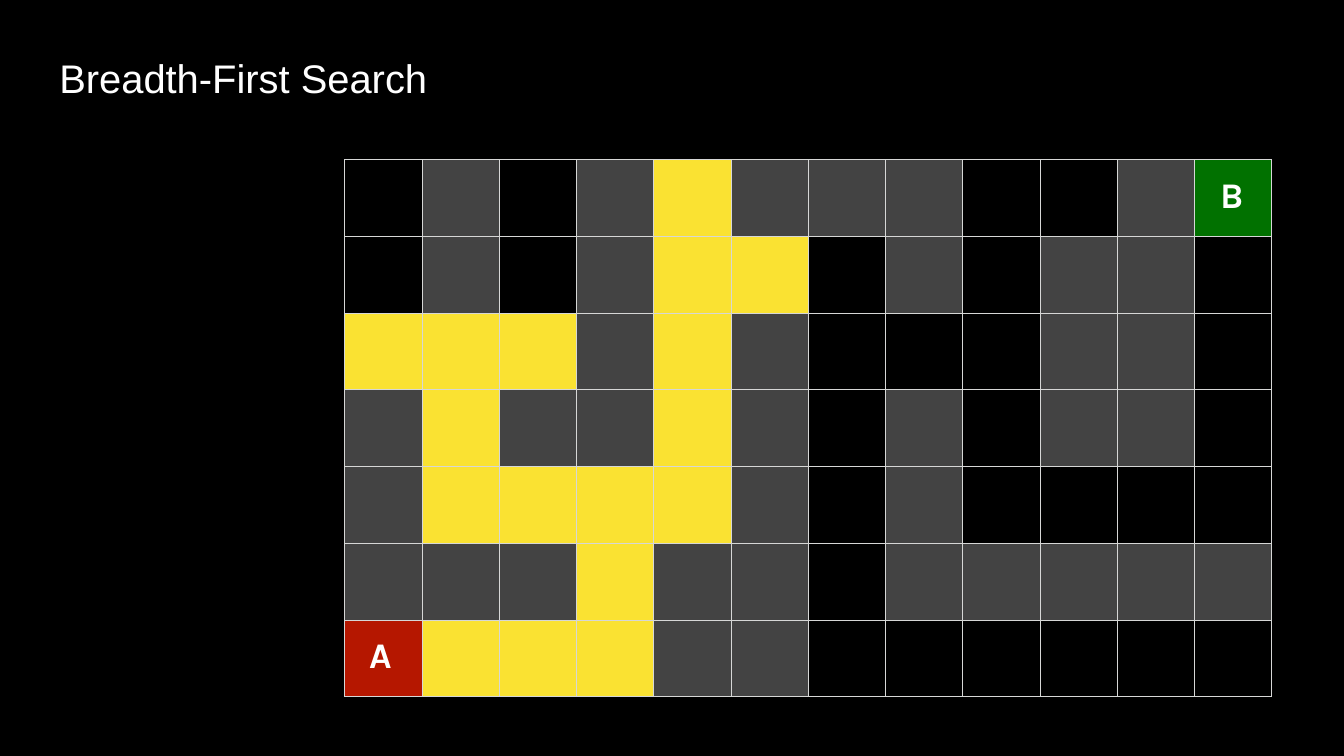
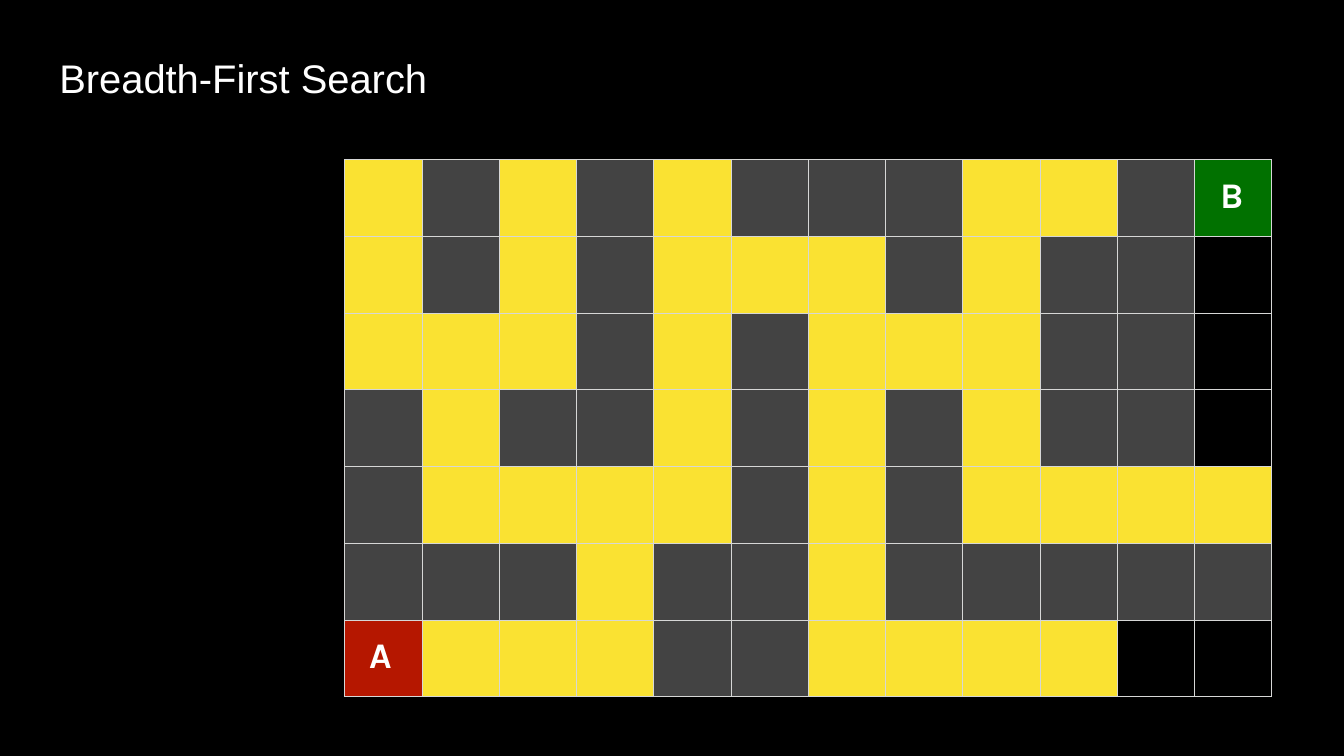
from collections import deque

from lxml import etree
from pptx import Presentation
from pptx import util as u
from pptx.dml.color import RGBColor
from pptx.enum import text
from pptx.oxml.ns import qn

COLORS = {
    "background": "000000",
    "text": "FFFFFF",
    "wall": "434343",
    "explored": "FAE232",
    "start": "B51700",
    "goal": "017100",
    "border": "D6D7D6",
}
TITLE = "Breadth-First Search"
TITLE_FONT = "Arial"
LABEL_FONT = "Karla"

# "#" is a wall, "." is open, A is the start and B the goal.
MAZE = [
    ".#.#.###..#B",
    ".#.#...#.##.",
    "...#.#...##.",
    "#.##.#.#.##.",
    "#....#.#....",
    "###.##.#####",
    "A...##......",
]
CELL_COLORS = {"#": "wall", "A": "start", "B": "goal"}
LABEL_MARGINS = {"A": (0.4, 0.25), "B": (0.42, 0.26)}
SEARCH_DEPTHS = [10, 19]


def rgb(name):
    return RGBColor.from_string(COLORS[name])


def search_distances():
    """Return the number of steps from A to each cell that can be reached."""
    start = next((row, line.index("A")) for row, line in enumerate(MAZE) if "A" in line)
    distances = {start: 0}
    frontier = deque([start])
    while frontier:
        row, column = frontier.popleft()
        neighbors = [(row - 1, column), (row + 1, column), (row, column - 1), (row, column + 1)]
        for cell in neighbors:
            inside = 0 <= cell[0] < len(MAZE) and 0 <= cell[1] < len(MAZE[0])
            if inside and MAZE[cell[0]][cell[1]] != "#" and cell not in distances:
                distances[cell] = distances[row, column] + 1
                frontier.append(cell)
    return distances


def add_run(paragraph, content, font_name, size, bold=False):
    run = paragraph.add_run()
    run.text = content
    run.font.name = font_name
    run.font.size = u.Pt(size)
    run.font.bold = bold
    run.font.color.rgb = rgb("text")


def add_title(slide):
    title = slide.shapes.title
    title.left, title.top = u.Inches(0.68), u.Inches(0.43)
    title.width, title.height = u.Inches(12.93), u.Inches(1.78)
    frame = title.text_frame
    frame.margin_left, frame.margin_top = u.Inches(0.29), u.Inches(0.44)
    frame.margin_right = frame.margin_bottom = 0
    frame.word_wrap = True
    frame.auto_size = text.MSO_AUTO_SIZE.NONE
    frame.vertical_anchor = text.MSO_ANCHOR.TOP
    paragraph = frame.paragraphs[0]
    paragraph.alignment = text.PP_ALIGN.LEFT
    add_run(paragraph, TITLE, TITLE_FONT, 47)


def add_borders(cell):
    properties = cell._tc.get_or_add_tcPr()
    for side in ("lnL", "lnR", "lnT", "lnB"):
        line = etree.SubElement(properties, qn(f"a:{side}"), w=str(u.Pt(1)))
        fill = etree.SubElement(line, qn("a:solidFill"))
        etree.SubElement(fill, qn("a:srgbClr"), val=COLORS["border"])


def format_cell(cell, mark, explored):
    add_borders(cell)
    color = CELL_COLORS.get(mark, "explored" if explored else None)
    if color:
        cell.fill.solid()
        cell.fill.fore_color.rgb = rgb(color)
    else:
        cell.fill.background()
    if mark in LABEL_MARGINS:
        left, top = LABEL_MARGINS[mark]
        cell.margin_left, cell.margin_top = u.Inches(left), u.Inches(top)
        cell.margin_right = cell.margin_bottom = 0
        add_run(cell.text_frame.paragraphs[0], mark, LABEL_FONT, 42.5, bold=True)


def add_maze(slide, distances, depth):
    """Draw the maze, with every cell within depth steps of A explored."""
    width, height = u.Inches(15.17), u.Inches(8.79)
    table = slide.shapes.add_table(
        len(MAZE), len(MAZE[0]), u.Inches(5.64), u.Inches(2.61), width, height
    ).table
    table.first_row = table.horz_banding = False
    for row, line in enumerate(MAZE):
        for column, mark in enumerate(line):
            explored = distances.get((row, column), depth + 1) <= depth
            format_cell(table.cell(row, column), mark, explored)


def main():
    presentation = Presentation()
    presentation.slide_width = u.Inches(21.99)
    presentation.slide_height = u.Inches(12.37)
    background = presentation.slide_master.background.fill
    background.solid()
    background.fore_color.rgb = rgb("background")

    title_only = presentation.slide_layouts.get_by_name("Title Only")
    distances = search_distances()
    for depth in SEARCH_DEPTHS:
        slide = presentation.slides.add_slide(title_only)
        add_title(slide)
        add_maze(slide, distances, depth)
    presentation.save("out.pptx")


if __name__ == "__main__":
    main()
